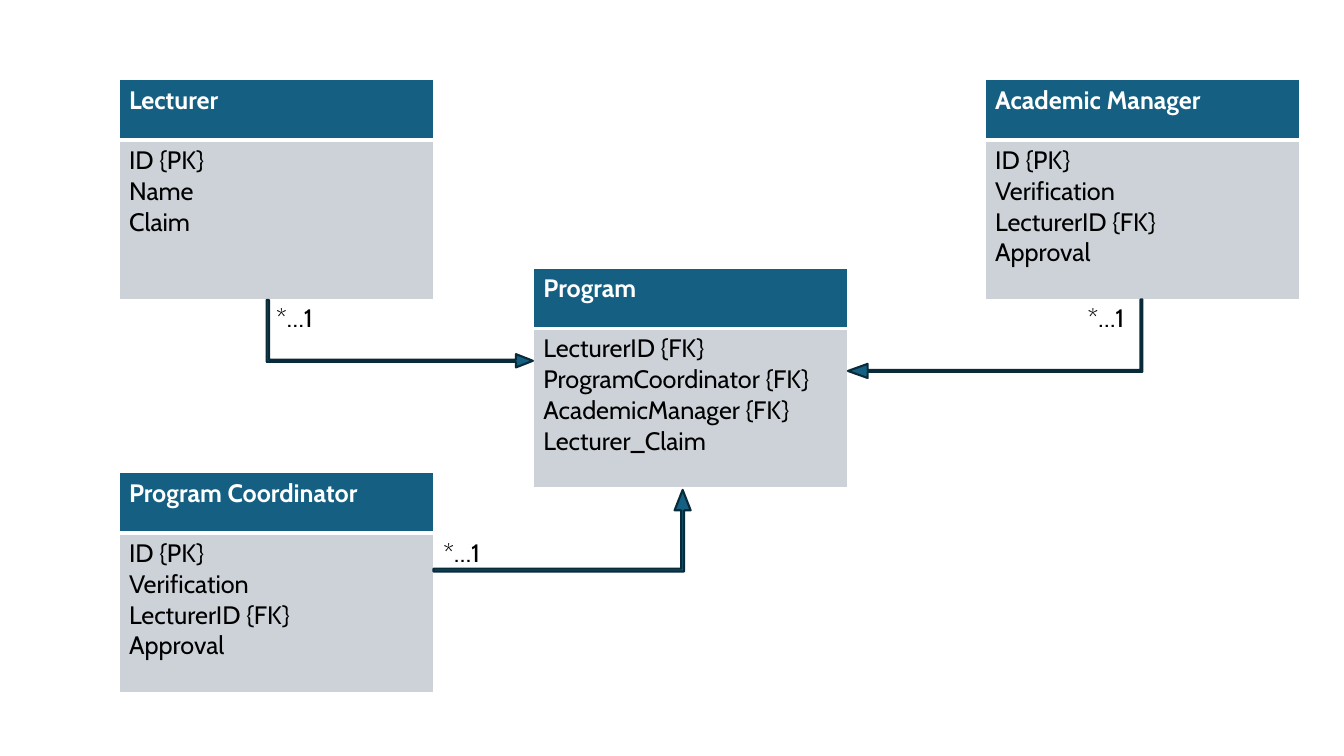
"""Build a class diagram slide of lecturers, programs and their managers."""
from dataclasses import dataclass

import pptx
import pptx.dml.color
import pptx.enum.shapes
import pptx.oxml
import pptx.oxml.ns
import pptx.util

Inches = pptx.util.Inches
Pt = pptx.util.Pt
MSO_SHAPE = pptx.enum.shapes.MSO_SHAPE


@dataclass(frozen=True)
class Theme:
    """Colours, font and type sizes of the slide."""
    header: str = "156082"
    body: str = "CCD2D8"
    outline: str = "092A39"
    white: str = "FFFFFF"
    black: str = "000000"
    font: str = "Cabin"
    size: int = 18


THEME = Theme()
ENTITY_WIDTH = 3.12
ROW_HEIGHTS = (0.6, 1.58)
TOP = 0.79
LEFT = 1.18

MANAGED_FIELDS = ("ID {PK}", "Verification", "LecturerID {FK}", "Approval")
ENTITIES = (
    (LEFT, TOP, "Lecturer", ("ID {PK}", "Name", "Claim")),
    (5.29, 2.66, "Program",
     ("LecturerID {FK}", "ProgramCoordinator {FK}", "AcademicManager {FK}", "Lecturer_Claim")),
    (LEFT, 4.69, "Program Coordinator", MANAGED_FIELDS),
    (9.77, TOP, "Academic Manager", MANAGED_FIELDS),
)
ARROWS = (
    (MSO_SHAPE.BENT_UP_ARROW, (4.3, 4.86, 2.55, 0.81), 0, (0.035, 0.098, 0.25)),
    (MSO_SHAPE.BENT_UP_ARROW, (3.63, 1.99, 0.67, 2.64), 90, (0.035, 0.098, 0.25)),
    (MSO_SHAPE.BENT_ARROW, (8.41, 2.97, 2.92, 0.78), 180, (0.024, 0.09, 0.25, 0)),
)
LABELS = ((2.64, 2.95), (10.69, 2.95), (4.3, 5.28))


def rgb(value):
    """Return a colour object for a hex string."""
    return pptx.dml.color.RGBColor.from_string(value)


def write_lines(tf, lines, color, bold=False):
    """Write one paragraph per line into a text frame."""
    for i, line in enumerate(lines):
        p = tf.add_paragraph() if i else tf.paragraphs[0]
        r = p.add_run()
        r.text = line
        r.font.name = THEME.font
        r.font.size = Pt(THEME.size)
        r.font.bold = bold
        r.font.color.rgb = rgb(color)


def set_borders(cell, **widths):
    """Draw white cell borders, one point wide unless a side says otherwise."""
    tc_pr = cell._tc.get_or_add_tcPr()
    for i, side in enumerate("LRTB"):
        width = Pt(widths.get(side, 1))
        tc_pr.insert(i, pptx.oxml.parse_xml(
            f'<a:ln{side} {pptx.oxml.ns.nsdecls("a")} w="{width}"><a:solidFill>'
            f'<a:srgbClr val="{THEME.white}"/></a:solidFill></a:ln{side}>'))


def fill_cell(cell, lines, fill, color, bold=False, **borders):
    """Give a cell its fill, text and borders."""
    cell.fill.solid()
    cell.fill.fore_color.rgb = rgb(fill)
    write_lines(cell.text_frame, lines, color, bold)
    set_borders(cell, **borders)


def add_entity(s, left, top, name, fields):
    """Add an entity as a table with a name row and a field row."""
    table = s.shapes.add_table(2, 1, Inches(left), Inches(top), Inches(ENTITY_WIDTH),
                               Inches(sum(ROW_HEIGHTS))).table
    for row, height in zip(table.rows, ROW_HEIGHTS):
        row.height = Inches(height)
    fill_cell(table.cell(0, 0), [name], THEME.header, THEME.white, bold=True, B=3)
    fill_cell(table.cell(1, 0), fields, THEME.body, THEME.black, T=3)


def add_arrow(s, kind, box, rotation, adjustments):
    """Add a bent block arrow."""
    sp = s.shapes.add_shape(kind, *map(Inches, box))
    sp.rotation = rotation
    for i, value in enumerate(adjustments):
        sp.adjustments[i] = value
    sp.shadow.inherit = False
    sp.fill.solid()
    sp.fill.fore_color.rgb = rgb(THEME.header)
    sp.line.color.rgb = rgb(THEME.outline)
    sp.line.width = Pt(1.5)


def add_label(s, left, top):
    """Add a multiplicity label."""
    tf = s.shapes.add_textbox(Inches(left), Inches(top), Inches(0.64), Inches(0.4)).text_frame
    tf.word_wrap = True
    write_lines(tf, ["*…1"], THEME.black)


def main():
    """Build and save the slide."""
    prs = pptx.Presentation()
    prs.slide_width, prs.slide_height = Inches(13.33), Inches(7.5)
    s = prs.slides.add_slide(prs.slide_layouts[6])
    for entity in ENTITIES:
        add_entity(s, *entity)
    for arrow in ARROWS:
        add_arrow(s, *arrow)
    for label in LABELS:
        add_label(s, *label)
    prs.save("out.pptx")


if __name__ == "__main__":
    main()
